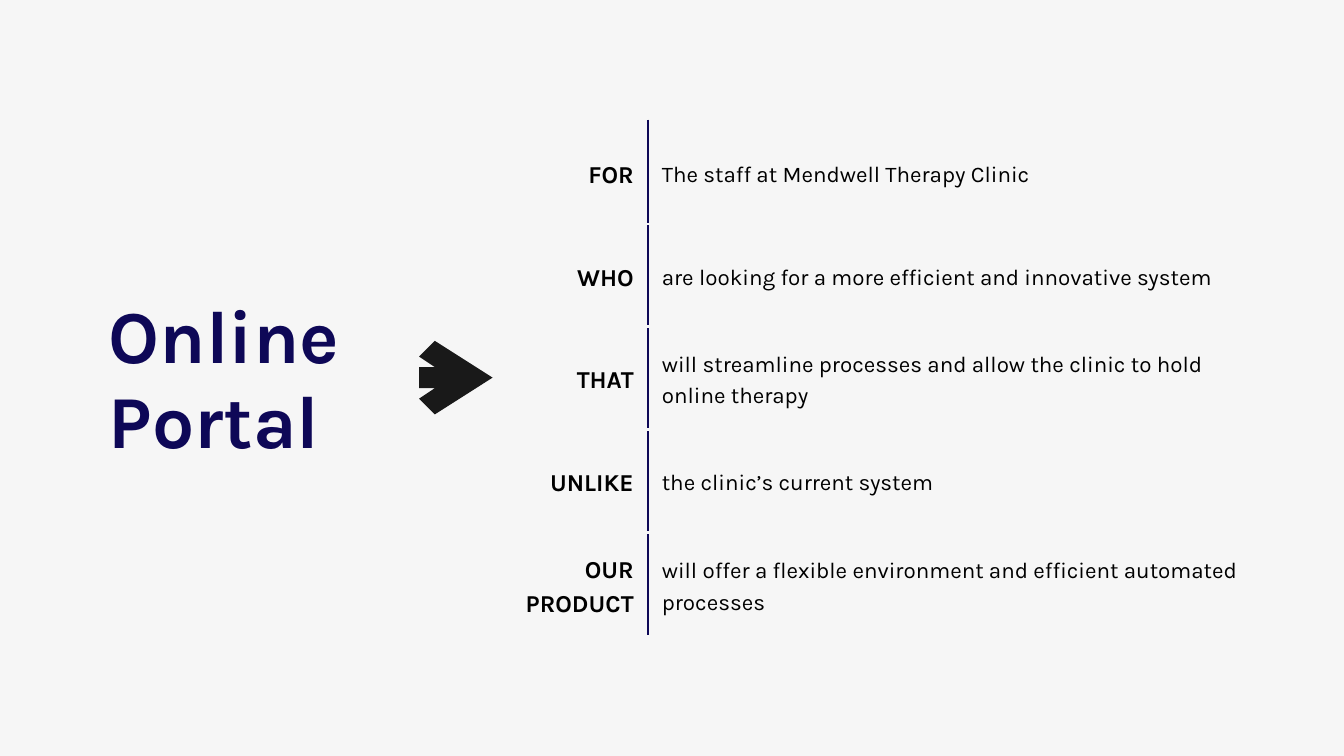
from lxml import etree
from pptx import Presentation
from pptx import util as u
from pptx.dml.color import RGBColor
from pptx.enum import shapes, text
from pptx.oxml import ns

# Content
TITLE = ["Online", "Portal"]
STATEMENTS = [
    ("FOR", "The staff at Mendwell Therapy Clinic"),
    ("WHO", "are looking for a more efficient and innovative system"),
    ("THAT", "will streamline processes and allow the clinic to hold online therapy"),
    ("UNLIKE", "the clinic’s current system"),
    ("OUR PRODUCT", "will offer a flexible environment and efficient automated processes"),
]

# Look
FONT = "Karla"
PAPER = RGBColor(0xF6, 0xF6, 0xF6)
NAVY = RGBColor(0x0E, 0x08, 0x57)
BLACK = RGBColor(0, 0, 0)
CHARCOAL = RGBColor(0x19, 0x19, 0x19)

# Layout, in points
TABLE_LEFT, TABLE_TOP = 527.8, 129.6
LABEL_WIDTH, STATEMENT_WIDTH = 166.3, 665.3
ROW_HEIGHT, LAST_ROW_HEIGHT = 110.2, 111.6
CELL_MARGIN = 15
ARROW_START, ARROW_END, ARROW_Y = 514.8, 527.8, 404.6


def style_paragraph(paragraph, size, spacing, color, bold, align=text.PP_ALIGN.LEFT):
    paragraph.alignment = align
    paragraph.line_spacing = u.Pt(spacing)
    font = paragraph.font
    font.name, font.size, font.bold = FONT, u.Pt(size), bold
    font.color.rgb = color


def set_borders(cell, left, right):
    properties = cell._tc.get_or_add_tcPr()
    sides = {"lnL": left, "lnR": right, "lnT": PAPER, "lnB": PAPER}
    for index, (side, color) in enumerate(sides.items()):
        line = etree.Element(ns.qn("a:" + side), w=str(u.Pt(3)))
        fill = etree.SubElement(line, ns.qn("a:solidFill"))
        etree.SubElement(fill, ns.qn("a:srgbClr"), val=str(color))
        properties.insert(index, line)


def fill_cell(cell, words, size, spacing, bold, align, left, right):
    cell.text = words
    cell.fill.background()
    cell.vertical_anchor = text.MSO_ANCHOR.MIDDLE
    cell.margin_left = cell.margin_right = u.Pt(CELL_MARGIN)
    cell.margin_top = cell.margin_bottom = u.Pt(CELL_MARGIN)
    style_paragraph(cell.text_frame.paragraphs[0], size, spacing, BLACK, bold, align)
    set_borders(cell, left, right)


presentation = Presentation()
presentation.slide_width, presentation.slide_height = u.Pt(1440), u.Pt(810)
slide = presentation.slides.add_slide(presentation.slide_layouts[6])
slide.background.fill.solid()
slide.background.fill.fore_color.rgb = PAPER

# Table of statements, split by a navy rule
heights = [ROW_HEIGHT] * (len(STATEMENTS) - 1) + [LAST_ROW_HEIGHT]
table = slide.shapes.add_table(
    len(STATEMENTS), 2, u.Pt(TABLE_LEFT), u.Pt(TABLE_TOP),
    u.Pt(LABEL_WIDTH + STATEMENT_WIDTH), u.Pt(sum(heights))).table
table.first_row = table.horz_banding = False
table.columns[0].width = u.Pt(LABEL_WIDTH)
table.columns[1].width = u.Pt(STATEMENT_WIDTH)
for row, height, (label, statement) in zip(table.rows, heights, STATEMENTS):
    row.height = u.Pt(height)
    label_cell, statement_cell = row.cells
    fill_cell(label_cell, label, 26, 36.4, True, text.PP_ALIGN.RIGHT, PAPER, NAVY)
    fill_cell(statement_cell, statement, 24, 33.6, False, text.PP_ALIGN.LEFT, NAVY, PAPER)

# Title
title = slide.shapes.add_textbox(u.Pt(116.6), u.Pt(313.9), u.Pt(249.8), u.Pt(184.3))
frame = title.text_frame
frame.word_wrap = True
frame.auto_size = text.MSO_AUTO_SIZE.SHAPE_TO_FIT_TEXT
frame.margin_left = frame.margin_right = frame.margin_top = frame.margin_bottom = 0
frame.text = "\n".join(TITLE)
for paragraph in frame.paragraphs:
    style_paragraph(paragraph, 80, 91.2, NAVY, True)

# Arrow from the title to the table
arrow = slide.shapes.add_connector(
    shapes.MSO_CONNECTOR.STRAIGHT,
    u.Pt(ARROW_START), u.Pt(ARROW_Y), u.Pt(ARROW_END), u.Pt(ARROW_Y))
arrow.line.width = u.Pt(22.5)
arrow.line.color.rgb = CHARCOAL
etree.SubElement(arrow.line._get_or_add_ln(), ns.qn("a:tailEnd"), type="arrow")
etree.SubElement(arrow._element.spPr, ns.qn("a:effectLst"))

presentation.save("out.pptx")
